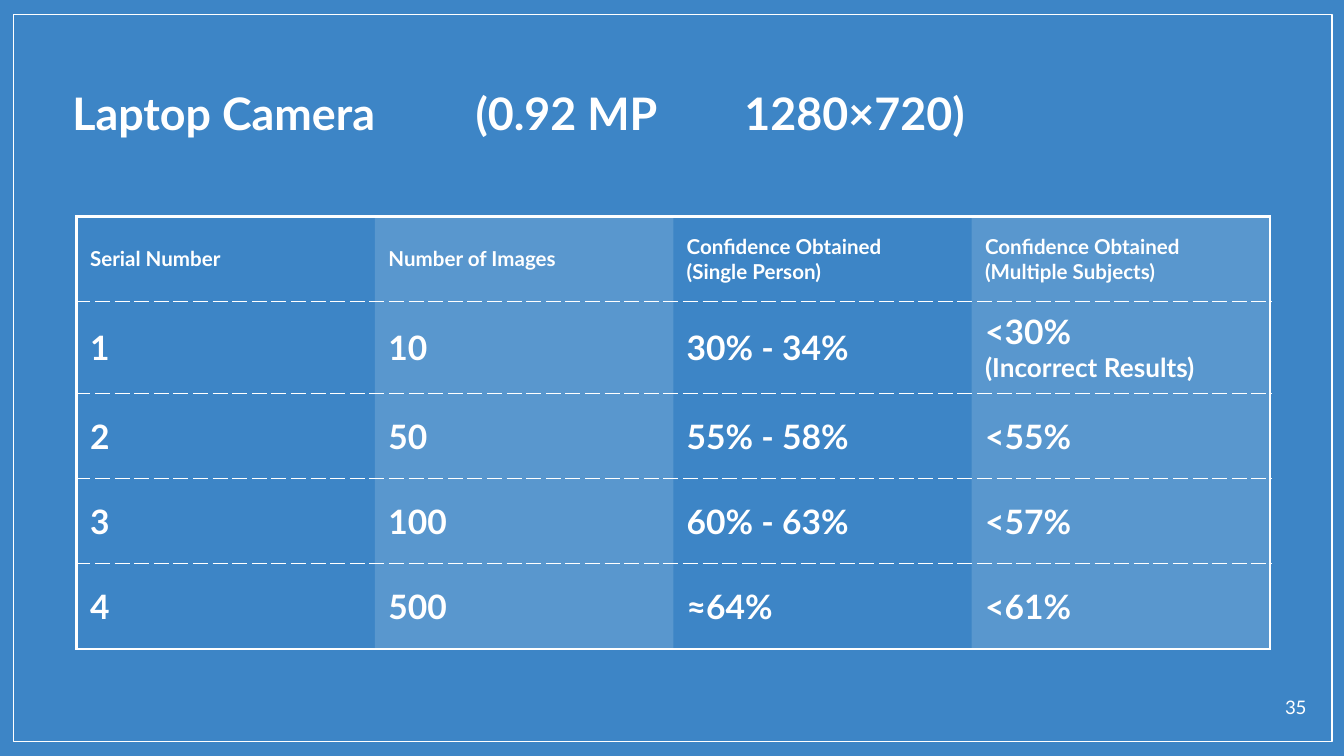
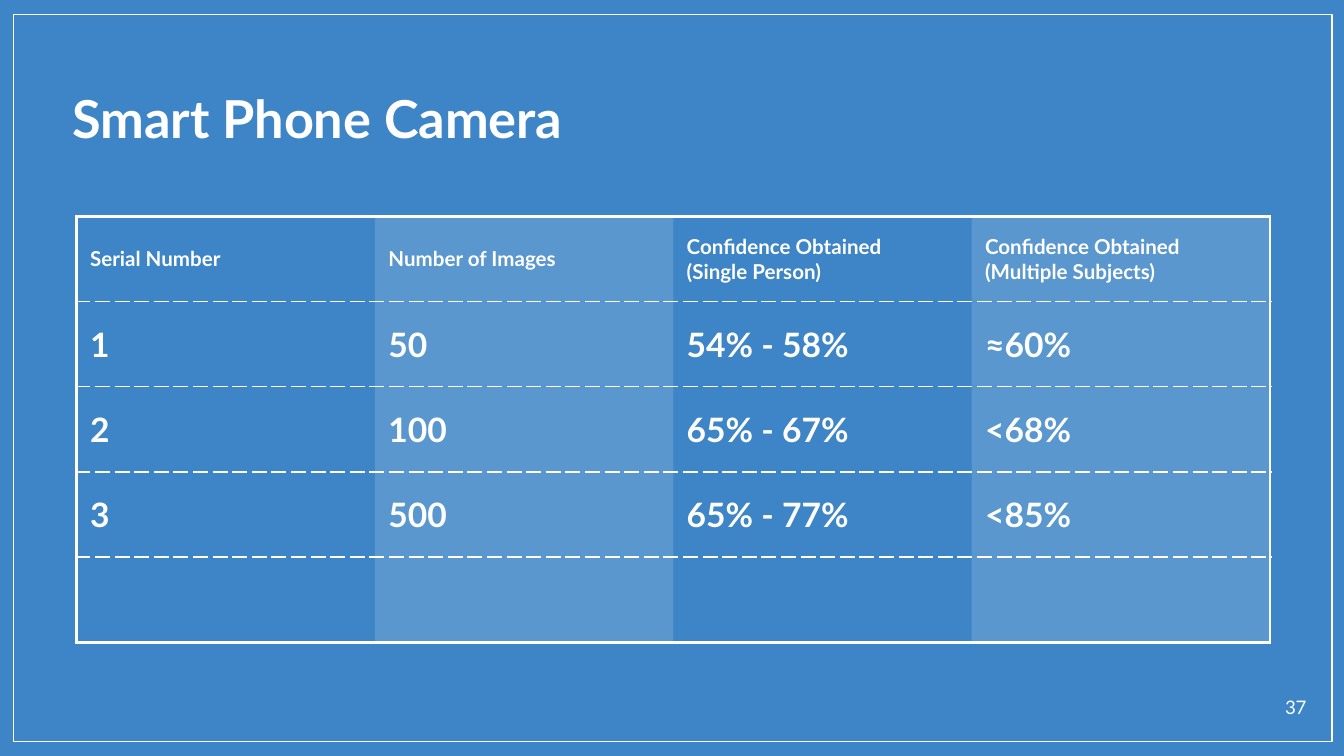
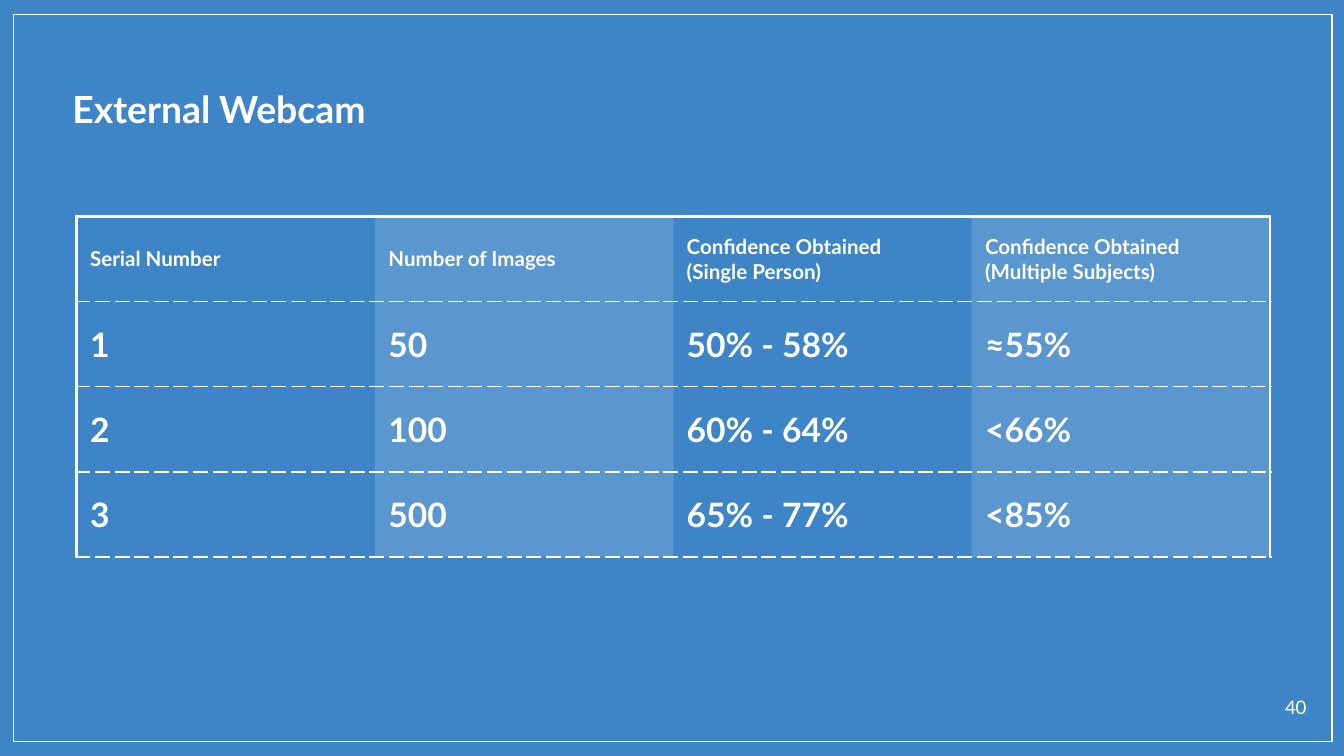
from lxml.etree import SubElement
from pptx import Presentation
from pptx.dml.color import RGBColor
from pptx.enum.shapes import MSO_SHAPE
from pptx.enum.text import MSO_ANCHOR, PP_ALIGN
from pptx.oxml.ns import qn
from pptx.util import Inches, Pt

# Content: text cells hold lines, a line is text or (text, size)
HEADERS = [
    ["Serial Number"],
    ["Number of Images"],
    ["Confidence Obtained", "(Single Person)"],
    ["Confidence Obtained", "(Multiple Subjects)"],
]
SLIDES = [
    {
        "title": "Laptop Camera \t(0.92 MP\t1280×720)",
        "title_style": {"size": 24, "align": PP_ALIGN.JUSTIFY, "tabs": (3, 5)},
        "number": "35", "closed": True,
        "rows": [
            [["1"], ["10"], ["30% - 34%"], ["<30% ", ("(Incorrect Results)", 14)]],
            [["2"], ["50"], ["55% - 58%"], ["<55%"]],
            [["3"], ["100"], ["60% - 63%"], ["<57%"]],
            [["4"], ["500"], ["≈64%"], ["<61%"]],
        ],
    },
    {
        "title": "Smart Phone Camera",
        "title_style": {"size": 28},
        "number": "37", "closed": True,
        "rows": [
            [["1"], ["50"], ["54% - 58%"], ["≈60%"]],
            [["2"], ["100"], ["65% - 67%"], ["<68%"]],
            [["3"], ["500"], ["65% - 77%"], ["<85%"]],
            [[], [], [], []],
        ],
    },
    {
        "title": "External Webcam",
        "title_style": {"size": 20, "align": PP_ALIGN.JUSTIFY},
        "number": "40", "closed": False,
        "rows": [
            [["1"], ["50"], ["50% - 58%"], ["≈55%"]],
            [["2"], ["100"], ["60% - 64%"], ["<66%"]],
            [["3"], ["500"], ["65% - 77%"], ["<85%"]],
        ],
    },
]

# Shared look
COLORS = {"background": "3D85C6", "ink": "FFFFFF"}
FONT = "Lato"
SLIDE_WIDTH, SLIDE_HEIGHT = 10, 10 * 9 / 16
HEADER_SIZE, VALUE_SIZE = 11, 18
COLUMN_WIDTH, ROW_HEIGHT = 2.22, 3.17 / 5
STRIPE_ALPHA = 15
SOLID, DASHED = (1.5, "solid"), (0.75, "dash")
PLAIN_TABLE_STYLE = "{2D5ABB26-0587-4C30-8999-92F81FD0307C}"


def color(name):
    return RGBColor.from_string(COLORS[name])


def set_tabs(paragraph, positions):
    tab_list = SubElement(paragraph._p.get_or_add_pPr(), qn("a:tabLst"))
    for position in positions:
        SubElement(tab_list, qn("a:tab"), pos=str(Inches(position)), algn="l")


def write(frame, lines, size, bold=True, align=PP_ALIGN.LEFT, tabs=()):
    for index, line in enumerate(lines):
        text, line_size = line if isinstance(line, tuple) else (line, size)
        paragraph = frame.paragraphs[0] if index == 0 else frame.add_paragraph()
        if tabs:
            set_tabs(paragraph, tabs)
        paragraph.alignment = align
        run = paragraph.add_run()
        run.text = text
        run.font.name = FONT
        run.font.size = Pt(line_size)
        run.font.bold = bold
        run.font.color.rgb = color("ink")


def add_text(slide, box, text, **style):
    frame = slide.shapes.add_textbox(*map(Inches, box)).text_frame
    frame.word_wrap = True
    frame.margin_left = frame.margin_right = Inches(0.1)
    frame.margin_top = frame.margin_bottom = Inches(0.1)
    write(frame, [text], **style)


def add_frame(slide):
    box = map(Inches, (0.1, 0.11, 9.81, 5.41))
    shape = slide.shapes.add_shape(MSO_SHAPE.RECTANGLE, *box)
    shape.shadow.inherit = False
    shape.fill.background()
    shape.line.color.rgb = color("ink")
    shape.line.width = Pt(0.75)


def set_border(cell, side, width, dash):
    line = SubElement(cell._tc.get_or_add_tcPr(), qn(f"a:ln{side}"), w=str(Pt(width)))
    fill = SubElement(line, qn("a:solidFill"))
    SubElement(fill, qn("a:srgbClr"), val=COLORS["ink"])
    SubElement(line, qn("a:prstDash"), val=dash)


def add_stripe(cell):
    cell.fill.solid()
    cell.fill.fore_color.rgb = color("ink")
    ink = cell._tc.tcPr.find(qn("a:solidFill")).find(qn("a:srgbClr"))
    SubElement(ink, qn("a:alpha"), val=str(STRIPE_ALPHA * 1000))


def add_results(slide, rows, closed):
    rows = [HEADERS] + rows
    last_row, last_column = len(rows) - 1, len(HEADERS) - 1
    box = (0.57, 1.61, COLUMN_WIDTH * len(HEADERS), ROW_HEIGHT * len(rows))
    table = slide.shapes.add_table(len(rows), len(HEADERS), *map(Inches, box)).table
    table.first_row = table.horz_banding = False
    table._tbl.tblPr.find(qn("a:tableStyleId")).text = PLAIN_TABLE_STYLE

    for row_index, row in enumerate(rows):
        for column_index, lines in enumerate(row):
            cell = table.cell(row_index, column_index)
            cell.vertical_anchor = MSO_ANCHOR.MIDDLE
            cell.margin_left = cell.margin_right = Inches(0.1)
            cell.margin_top = cell.margin_bottom = Pt(5.4)
            size = HEADER_SIZE if row_index == 0 else VALUE_SIZE
            write(cell.text_frame, lines, size, align=PP_ALIGN.JUSTIFY)

            # Solid outline, dashed rules between rows, striped odd columns
            if column_index == 0:
                set_border(cell, "L", *SOLID)
            if column_index == last_column:
                set_border(cell, "R", *SOLID)
            set_border(cell, "T", *(SOLID if row_index == 0 else DASHED))
            ends = closed and row_index == last_row
            set_border(cell, "B", *(SOLID if ends else DASHED))
            if column_index % 2:
                add_stripe(cell)
            else:
                cell.fill.background()


def main():
    presentation = Presentation()
    presentation.slide_width = Inches(SLIDE_WIDTH)
    presentation.slide_height = Inches(SLIDE_HEIGHT)
    for content in SLIDES:
        slide = presentation.slides.add_slide(presentation.slide_layouts[6])
        slide.background.fill.solid()
        slide.background.fill.fore_color.rgb = color("background")
        add_frame(slide)
        add_text(slide, (0.44, 0.54, 9, 0.45), content["title"], **content["title_style"])
        add_results(slide, content["rows"], content["closed"])
        add_text(slide, (9.32, 5.09, 0.5, 0.32), content["number"],
                 size=10, bold=False, align=PP_ALIGN.RIGHT)
    presentation.save("out.pptx")


if __name__ == "__main__":
    main()
